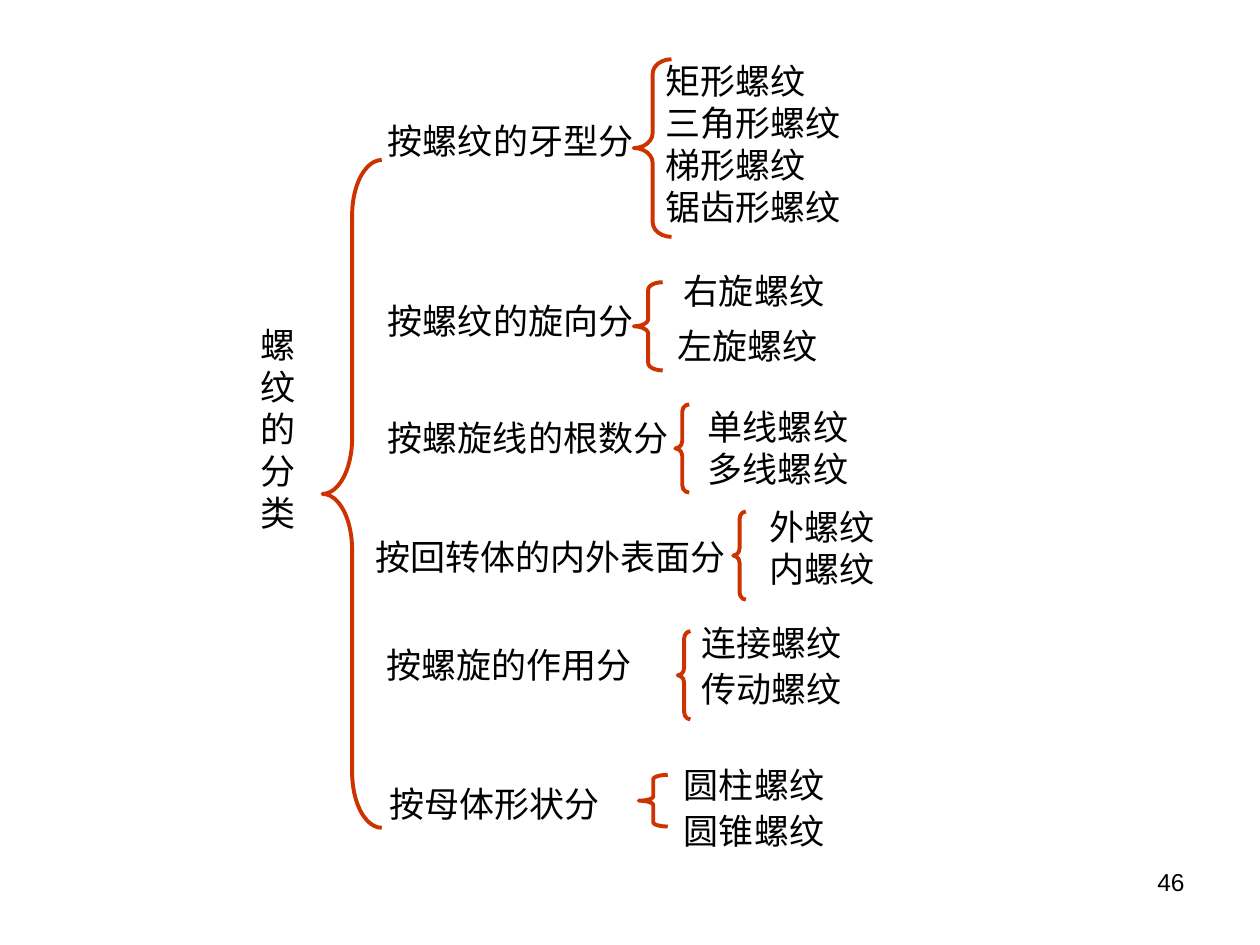
import pptx
import pptx.util
import pptx.dml.color
import pptx.enum.shapes
import pptx.enum.text
from lxml import etree

Inches = pptx.util.Inches
ALIGN = pptx.enum.text.PP_ALIGN
COLORS = {"text": "000000", "brace": "CC3300"}
CJK_FONT = "Noto Sans CJK SC"
LINE_HEIGHT = 0.33  # inches per line of 20 pt text
PADDING = 0.1       # top and bottom insets together

# Content: heading, (left, top, width), brace box, then groups of terms:
# (left, top, width, line spacing, terms)
ROOT = ("螺纹的分类", (1.97, 2.52, 0.44, 1.77), (2.56, 1.27, 0.47, 5.3))
CATEGORIES = [
    ("按螺纹的牙型分", (2.98, 0.9, 2.15), (5.03, 0.47, 0.3, 1.41),
     [(5.18, 0.42, 3.07, 1, ["矩形螺纹", "三角形螺纹", "梯形螺纹", "锯齿形螺纹"])]),
    ("按螺纹的旋向分", (2.98, 2.33, 2.15), (5.03, 2.24, 0.23, 0.7),
     [(5.33, 2.09, 2.75, 1, ["右旋螺纹"]), (5.28, 2.53, 2.44, 1, ["左旋螺纹"])]),
    ("按螺旋线的根数分", (2.98, 3.26, 2.56), (5.36, 3.21, 0.11, 0.7),
     [(5.52, 3.17, 3.07, 1, ["单线螺纹", "多线螺纹"])]),
    ("按回转体的内外表面分", (2.88, 4.2, 3.12), (5.82, 4.06, 0.1, 0.7),
     [(6.01, 3.96, 1.81, 1, ["外螺纹", "内螺纹"])]),
    ("按螺旋的作用分", (2.97, 5.06, 2.15), (5.38, 5.01, 0.1, 0.7),
     [(5.47, 4.85, 2.52, 1.1, ["连接螺纹", "传动螺纹"])]),
    ("按母体形状分", (2.99, 6.16, 1.87), (5.07, 6.15, 0.23, 0.41),
     [(5.33, 5.98, 2.76, 1.1, ["圆柱螺纹", "圆锥螺纹"])]),
]
PAGE_NUMBER = ("46", (7.17, 6.83, 2.33, 0.52))


def color(name):
    return pptx.dml.color.RGBColor.from_string(COLORS[name])


def add_text(slide, box, lines, size=20, font=CJK_FONT, align=ALIGN.LEFT,
             spacing=1, wrap=True):
    frame = slide.shapes.add_textbox(*map(Inches, box)).text_frame
    frame.word_wrap = wrap
    frame.text = "\n".join(lines)
    for paragraph in frame.paragraphs:
        paragraph.alignment = align
        paragraph.line_spacing = spacing
        paragraph.font.size = pptx.util.Pt(size)
        paragraph.font.name = font
        paragraph.font.color.rgb = color("text")
        # East Asian characters take their own typeface setting
        latin = paragraph.font._element.find(pptx.oxml.ns.qn("a:latin"))
        east_asian = etree.Element(pptx.oxml.ns.qn("a:ea"), typeface=font)
        latin.addnext(east_asian)


def add_brace(slide, box):
    width, height = box[2:]
    brace = slide.shapes.add_shape(
        pptx.enum.shapes.MSO_SHAPE.LEFT_BRACE, *map(Inches, box))
    brace.adjustments[0] = height / 12 / min(width, height)
    brace.shadow.inherit = False
    brace.fill.background()
    brace.line.color.rgb = color("brace")
    brace.line.width = pptx.util.Pt(2.25)


def main():
    presentation = pptx.Presentation()
    presentation.slide_width = Inches(10)
    presentation.slide_height = Inches(7.5)
    slide = presentation.slides.add_slide(presentation.slide_layouts[6])

    # Root of the tree, one character per line
    root_text, root_box, root_brace = ROOT
    add_text(slide, root_box, [root_text], align=ALIGN.JUSTIFY)
    add_brace(slide, root_brace)

    # Categories with their braces and terms
    for heading, heading_box, brace_box, groups in CATEGORIES:
        add_text(slide, (*heading_box, LINE_HEIGHT + PADDING), [heading],
                 align=ALIGN.JUSTIFY, wrap=False)
        add_brace(slide, brace_box)
        for left, top, width, spacing, terms in groups:
            height = len(terms) * LINE_HEIGHT * spacing + PADDING
            add_text(slide, (left, top, width, height), terms, spacing=spacing)

    # Page number
    number, number_box = PAGE_NUMBER
    add_text(slide, number_box, [number], size=14, font="Arial", align=ALIGN.RIGHT)

    presentation.save("out.pptx")


if __name__ == "__main__":
    main()
